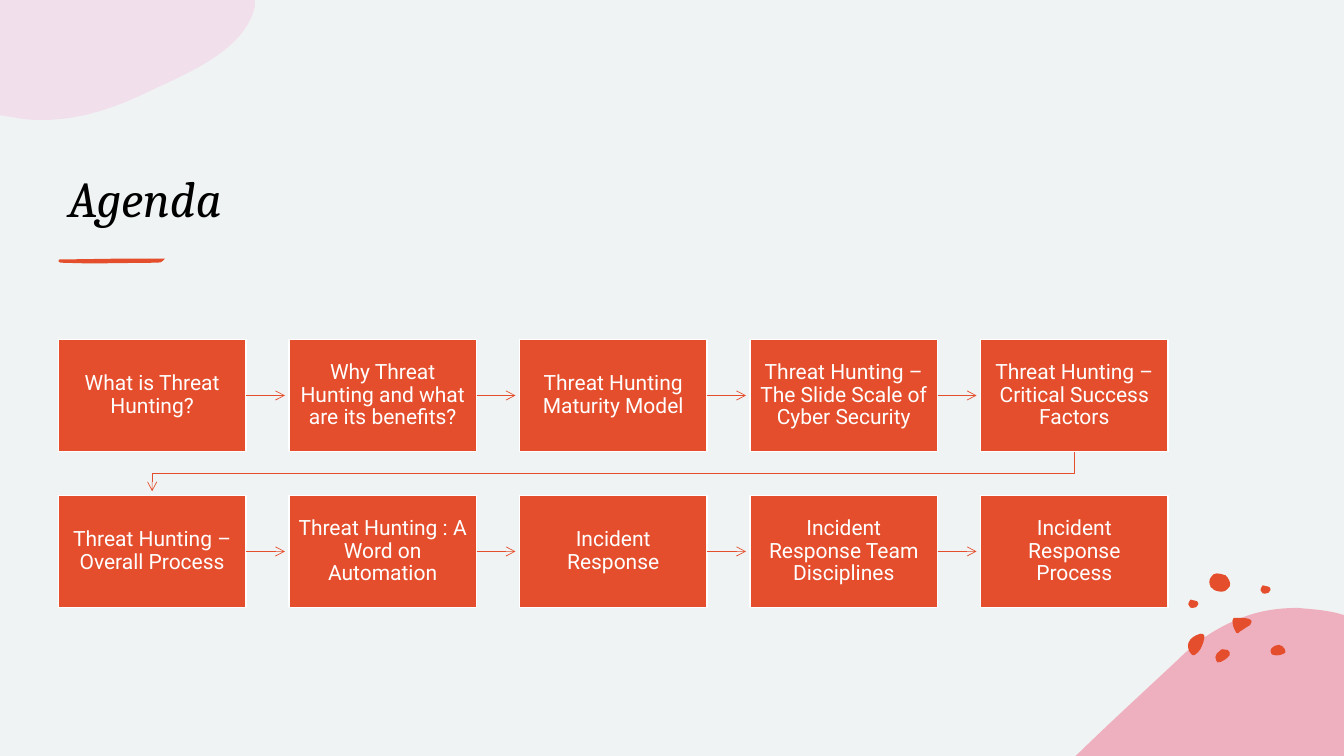
from dataclasses import dataclass

from lxml import etree
from pptx import Presentation
from pptx import util as u
from pptx.dml.color import RGBColor
from pptx.enum import shapes, text
from pptx.oxml.ns import qn


@dataclass(frozen=True)
class Theme:
    back: str = "F0F3F3"
    main: str = "E44E2C"
    rose: str = "ED6D8B"
    pink: str = "F4ABDA"
    ink: str = "000000"
    white: str = "FFFFFF"
    head: str = "Cambria"
    body: str = "Roboto"
    big: int = 36
    small: int = 15
    thin: float = 0.5
    edge: int = 1


T = Theme()

STEPS = [
    ["What is Threat Hunting?",
     "Why Threat Hunting and what are its benefits?",
     "Threat Hunting Maturity Model",
     "Threat Hunting – The Slide Scale of Cyber Security",
     "Threat Hunting – Critical Success Factors"],
    ["Threat Hunting – Overall Process",
     "Threat Hunting : A Word on Automation",
     "Incident Response",
     "Incident Response Team Disciplines",
     "Incident Response Process"],
]

# Outlines in cm: a pair is a corner, six numbers are a Bézier curve
CLOUD = [(0, 6.43), (0, 0), (0.15, 0), (1.12, 0.21, 1.7, 1.35, 2.18, 2.42),
         (2.62, 3.31, 3.02, 4.25, 3.02, 5.39),
         (3.02, 5.64, 3, 5.87, 2.95, 6.1), (2.9, 6.43)]
HILL = [(5.61, 0), (5.94, 0.03, 6.27, 0.05, 6.6, 0.13), (6.77, 0.18),
        (6.77, 3.73), (0, 3.73), (0.03, 3.71),
        (0.89, 2.87, 1.78, 2.06, 2.59, 1.3),
        (3.15, 0.74, 3.73, 0.41, 4.32, 0.2),
        (4.75, 0.05, 5.18, 0, 5.61, 0)]
BRUSH = [(0.03, 0.02), (1.4, 0), (2.69, 0),
         (2.62, 0.03, 2.64, 0.1, 2.51, 0.1),
         (1.6, 0.11), (0.8, 0.12), (0.05, 0.1), (0, 0.06)]
SEED = [(0, 0.13), (0, 0.13, 0, 0.03, 0.05, 0), (0.1, 0, 0.13, 0, 0.18, 0.03),
        (0.2, 0.03, 0.25, 0.05, 0.25, 0.1),
        (0.25, 0.13, 0.23, 0.15, 0.2, 0.18),
        (0.2, 0.18, 0.2, 0.2, 0.15, 0.2), (0.13, 0.2, 0.08, 0.23, 0.05, 0.2),
        (0.03, 0.15, 0, 0.15, 0, 0.13)]
DROPS = [
    [(0.89, 1.91), (0.94, 1.91, 0.97, 1.91, 1.02, 1.93),
     (1.07, 1.96, 1.09, 2.01, 1.07, 2.06), (1.02, 2.13, 0.86, 2.26, 0.76, 2.24),
     (0.74, 2.21, 0.71, 2.16, 0.71, 2.11), (0.71, 2.06, 0.76, 1.98, 0.81, 1.96),
     (0.84, 1.93, 0.86, 1.91, 0.89, 1.91)],
    [(0.33, 1.52), (0.38, 1.52, 0.43, 1.52, 0.43, 1.57), (0.43, 1.63),
     (0.41, 1.75, 0.36, 1.88, 0.28, 1.98), (0.23, 2.03, 0.15, 2.11, 0.1, 2.03),
     (0.03, 1.96, 0, 1.83, 0.03, 1.75), (0.05, 1.68, 0.1, 1.65, 0.15, 1.6),
     (0.18, 1.6, 0.25, 1.52, 0.33, 1.52)],
    [(2.31, 1.8), (2.36, 1.8, 2.44, 1.85, 2.46, 1.91),
     (2.49, 1.96, 2.49, 2.01, 2.41, 2.03), (2.34, 2.08, 2.13, 2.08, 2.11, 2.01),
     (2.08, 1.96, 2.11, 1.91, 2.13, 1.88), (2.18, 1.83, 2.24, 1.8, 2.31, 1.8)],
    [(0.58, 0.3), (0.56, 0.3, 0.53, 0.15, 0.61, 0.08),
     (0.66, 0.03, 0.66, 0, 0.74, 0), (0.81, 0, 0.91, 0.03, 0.97, 0.05),
     (1.02, 0.1, 1.12, 0.23, 1.07, 0.33), (0.99, 0.41, 0.97, 0.46, 0.86, 0.46),
     (0.79, 0.46, 0.66, 0.43, 0.64, 0.38), (0.58, 0.36, 0.58, 0.33, 0.58, 0.3)],
    [(1.27, 1.12), (1.42, 1.12, 1.7, 1.12, 1.6, 1.27),
     (1.6, 1.3, 1.57, 1.32, 1.55, 1.32), (1.47, 1.37, 1.4, 1.42, 1.32, 1.47),
     (1.3, 1.5, 1.27, 1.52, 1.24, 1.5), (1.22, 1.47),
     (1.17, 1.37, 1.14, 1.3, 1.14, 1.19), (1.14, 1.17, 1.14, 1.14, 1.17, 1.12)],
]


def tint(hue):
    return RGBColor.from_string(hue)


def draw(slide, left, top, parts, close=True):
    ends = [(u.Cm(left + p[-2]), u.Cm(top + p[-1])) for p in parts]
    pen = slide.shapes.build_freeform(*ends[0])
    pen.add_line_segments(ends[1:], close=close)
    form = pen.convert_to_shape()
    form.shadow.inherit = False
    # Bend the segments that have control points
    legs = list(form.element.iter(qn("a:lnTo")))
    for leg, part in zip(legs, parts[1:]):
        if len(part) == 6:
            leg.tag = qn("a:cubicBezTo")
            for i in (2, 0):
                spot = etree.Element(qn("a:pt"))
                spot.set("x", str(u.Cm(left + part[i]) - form.left))
                spot.set("y", str(u.Cm(top + part[i + 1]) - form.top))
                leg.insert(0, spot)
    return form


def blob(slide, left, top, parts, hue, alpha=100):
    form = draw(slide, left, top, parts)
    form.fill.solid()
    form.fill.fore_color.rgb = tint(hue)
    form.line.fill.background()
    if alpha < 100:
        clr = form.element.spPr.find(qn("a:solidFill"))[0]
        etree.SubElement(clr, qn("a:alpha")).set("val", str(alpha * 1000))
    return form


def arrow(item):
    item.line.color.rgb = tint(T.main)
    item.line.width = u.Pt(T.thin)
    ln = item.element.spPr.find(qn("a:ln"))
    etree.SubElement(ln, qn("a:tailEnd")).set("type", "arrow")


def style(run, face, size, hue):
    run.font.name = face
    run.font.size = u.Pt(size)
    run.font.color.rgb = tint(hue)


def title(slide, left, top, wide, high):
    box = slide.shapes.add_textbox(*map(u.Cm, (left, top, wide, high)))
    frame = box.text_frame
    frame.word_wrap = True
    frame.vertical_anchor = text.MSO_ANCHOR.BOTTOM
    frame.text = "Agenda"
    run = frame.paragraphs[0].runs[0]
    style(run, T.head, T.big, T.ink)
    run.font.italic = True
    # Brush stroke under the heading
    blob(slide, left, top + high + 0.66, BRUSH, T.main)


def card(slide, left, top, wide, high, words):
    box = slide.shapes.add_shape(shapes.MSO_SHAPE.RECTANGLE,
                                 *map(u.Cm, (left, top, wide, high)))
    box.shadow.inherit = False
    box.fill.solid()
    box.fill.fore_color.rgb = tint(T.main)
    box.line.color.rgb = tint(T.white)
    box.line.width = u.Pt(T.edge)
    frame = box.text_frame
    frame.word_wrap = True
    frame.vertical_anchor = text.MSO_ANCHOR.MIDDLE
    frame.margin_left = frame.margin_right = u.Cm(0.23)
    frame.margin_top = frame.margin_bottom = u.Cm(0.25)
    frame.text = words
    para = frame.paragraphs[0]
    para.alignment = text.PP_ALIGN.CENTER
    para.line_spacing = 0.9
    style(para.runs[0], T.body, T.small, T.white)
    return box


def flow(slide, left, top, wide, high):
    cw, ch, gap = 4.73, 2.83, 0.1
    dx = (wide - cw) / (len(STEPS[0]) - 1)
    dy = high - ch
    for r, row in enumerate(STEPS):
        for c, words in enumerate(row):
            x, y = left + c * dx, top + r * dy
            box = card(slide, x, y, cw, ch, words)
            if c < len(row) - 1:
                mid = u.Cm(y + ch / 2)
                link = slide.shapes.add_connector(
                    shapes.MSO_CONNECTOR.STRAIGHT,
                    u.Cm(x + cw), mid, u.Cm(x + dx - gap), mid)
                link.begin_connect(box, 3)
                etree.SubElement(link.element.spPr, qn("a:effectLst"))
                arrow(link)
    # Way back from the last card of the first row to the second row
    far, near = wide - cw / 2, cw / 2
    turn = (ch + dy) / 2
    back = draw(slide, left, top, [(far, ch), (far, turn), (near, turn),
                                   (near, dy - gap)], close=False)
    back.fill.background()
    arrow(back)


def corner(slide, left, top):
    blob(slide, left, top, HILL, T.rose, 50)
    # Scattered drops above the hill
    x, y = left + 2.82, top - 0.87
    for drop in DROPS:
        blob(slide, x, y, drop, T.main)
    for sx, sy in ((1.85, 0.3), (0.03, 0.66)):
        blob(slide, x + sx, y + sy, SEED, T.main)


def main():
    deck = Presentation()
    deck.slide_width, deck.slide_height = u.Cm(33.87), u.Cm(19.05)
    slide = deck.slides.add_slide(deck.slide_layouts[6])
    slide.background.fill.solid()
    slide.background.fill.fore_color.rgb = tint(T.back)
    blob(slide, 1.7, -1.7, CLOUD, T.pink, 25).rotation = 90
    title(slide, 1.47, 2.18, 28, 3.68)
    corner(slide, 27.1, 15.32)
    flow(slide, 1.47, 8.55, 27.97, 6.76)
    deck.save("out.pptx")


if __name__ == "__main__":
    main()
